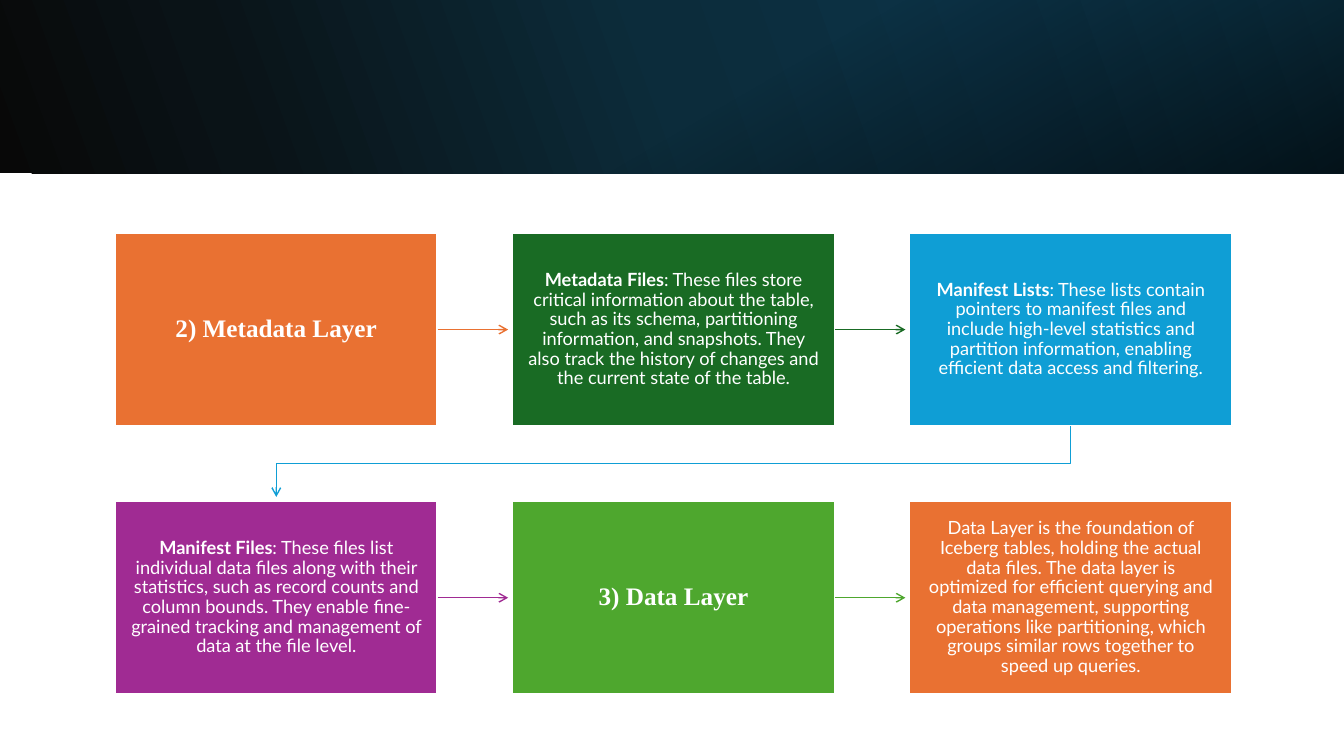
from dataclasses import dataclass

from lxml.etree import SubElement
from pptx import Presentation
from pptx.dml.color import RGBColor
from pptx.enum.shapes import MSO_CONNECTOR, MSO_SHAPE
from pptx.enum.text import MSO_ANCHOR, PP_ALIGN
from pptx.oxml.ns import qn
from pptx.util import Inches, Pt

# Content: (fill colour, bold part, plain part), in reading order
STEPS = [
    ("E97132", "2) Metadata Layer", ""),
    ("196B24", "Metadata Files", ": These files store critical information about the table, "
     "such as its schema, partitioning information, and snapshots. They also track the "
     "history of changes and the current state of the table."),
    ("0F9ED5", "Manifest Lists", ": These lists contain pointers to manifest files and include "
     "high-level statistics and partition information, enabling efficient data access and "
     "filtering."),
    ("A02B93", "Manifest Files", ": These files list individual data files along with their "
     "statistics, such as record counts and column bounds. They enable fine-grained tracking "
     "and management of data at the file level."),
    ("4EA72E", "3) Data Layer", ""),
    ("E97132", "", "Data Layer is the foundation of Iceberg tables, holding the actual data "
     "files. The data layer is optimized for efficient querying and data management, "
     "supporting operations like partitioning, which groups similar rows together to speed "
     "up queries."),
]

# Banner layers: (clockwise angle, [(position %, colour, opacity %)])
BANNER = [
    (340, [(0, "080808", 100), (18, "0A1317", 100), (50, "0C2C3B", 100),
           (75, "0C3246", 100), (100, "0E3F56", 100)]),
    (60, [(0, "000000", 0), (55, "000000", 0), (100, "000000", 70)]),
]


@dataclass(frozen=True)
class Theme:
    white: str = "FFFFFF"
    heading_font: str = "Times New Roman"
    body_font: str = "Lato"
    heading_size: int = 18
    body_size: int = 13
    border: float = 1.5
    arrow: float = 1


# Grid, in inches
WIDTH, HEIGHT, BANNER_HEIGHT = 13.33, 7.5, 1.72
COLS = 3
LEFT, TOP = 1.14, 2.31
BOX_W, BOX_H = 3.2, 1.92
STEP_X, STEP_Y = 3.94, 2.66
INSET, ARROW_GAP = 0.16, 0.04

theme = Theme()


def rgb(value):
    return RGBColor.from_string(value)


def place(index):
    row, col = divmod(index, COLS)
    return LEFT + col * STEP_X, TOP + row * STEP_Y


def add_banner_layer(s, angle, stops):
    sp = s.shapes.add_shape(MSO_SHAPE.RECTANGLE, 0, 0, Inches(WIDTH), Inches(BANNER_HEIGHT))
    sp.shadow.inherit = False
    sp.line.fill.background()
    sp.fill.gradient()
    sp.fill.gradient_angle = 360 - angle
    stop_list = sp.fill._fill._gradFill.find(qn("a:gsLst"))
    for old in list(stop_list):
        stop_list.remove(old)
    for position, color, opacity in stops:
        stop = SubElement(stop_list, qn("a:gs"), pos=str(position * 1000))
        clr = SubElement(stop, qn("a:srgbClr"), val=color)
        SubElement(clr, qn("a:alpha"), val=str(opacity * 1000))


def add_box(s, index, color, bold, plain):
    x, y = place(index)
    sp = s.shapes.add_shape(MSO_SHAPE.RECTANGLE, Inches(x), Inches(y),
                            Inches(BOX_W), Inches(BOX_H))
    sp.shadow.inherit = False
    sp.fill.solid()
    sp.fill.fore_color.rgb = rgb(color)
    sp.line.color.rgb = rgb(theme.white)
    sp.line.width = Pt(theme.border)

    tf = sp.text_frame
    tf.word_wrap = True
    tf.vertical_anchor = MSO_ANCHOR.MIDDLE
    tf.margin_left = tf.margin_right = tf.margin_top = tf.margin_bottom = Inches(INSET)
    p = tf.paragraphs[0]
    p.alignment = PP_ALIGN.CENTER
    p.line_spacing = 0.9
    for text, is_bold in ((bold, True), (plain, False)):
        if text:
            r = p.add_run()
            r.text = text
            r.font.bold = is_bold
            r.font.name = theme.body_font if plain else theme.heading_font
            r.font.size = Pt(theme.body_size if plain else theme.heading_size)
            r.font.color.rgb = rgb(theme.white)
    return sp


def style_arrow(arrow, color):
    arrow.line.color.rgb = rgb(color)
    arrow.line.width = Pt(theme.arrow)
    SubElement(arrow.line._get_or_add_ln(), qn("a:tailEnd"), type="arrow")


def add_straight_arrow(s, index, box, color):
    x, y = place(index)
    mid = Inches(y + BOX_H / 2)
    arrow = s.shapes.add_connector(MSO_CONNECTOR.STRAIGHT, Inches(x + BOX_W), mid,
                                   Inches(x + STEP_X - ARROW_GAP), mid)
    arrow.begin_connect(box, 3)
    style_arrow(arrow, color)
    SubElement(arrow._element.spPr, qn("a:effectLst"))


def add_row_arrow(s, index, color):
    x, y = place(index)
    next_x, next_y = place(index + 1)
    start_x, end_x = x + BOX_W / 2, next_x + BOX_W / 2
    start_y = y + BOX_H
    turn_y = (start_y + next_y) / 2
    builder = s.shapes.build_freeform(Inches(start_x), Inches(start_y))
    builder.add_line_segments(
        [(Inches(start_x), Inches(turn_y)), (Inches(end_x), Inches(turn_y)),
         (Inches(end_x), Inches(next_y - ARROW_GAP))], close=False)
    arrow = builder.convert_to_shape()
    arrow.shadow.inherit = False
    arrow.fill.background()
    style_arrow(arrow, color)


def main():
    prs = Presentation()
    prs.slide_width, prs.slide_height = Inches(WIDTH), Inches(HEIGHT)
    s = prs.slides.add_slide(prs.slide_layouts[6])

    # Banner
    for angle, stops in BANNER:
        add_banner_layer(s, angle, stops)

    # Boxes, then the arrow from each one to the next
    boxes = [add_box(s, i, *step) for i, step in enumerate(STEPS)]
    for i, (color, _, _) in enumerate(STEPS[:-1]):
        if (i + 1) % COLS:
            add_straight_arrow(s, i, boxes[i], color)
        else:
            add_row_arrow(s, i, color)

    prs.save("out.pptx")


if __name__ == "__main__":
    main()
